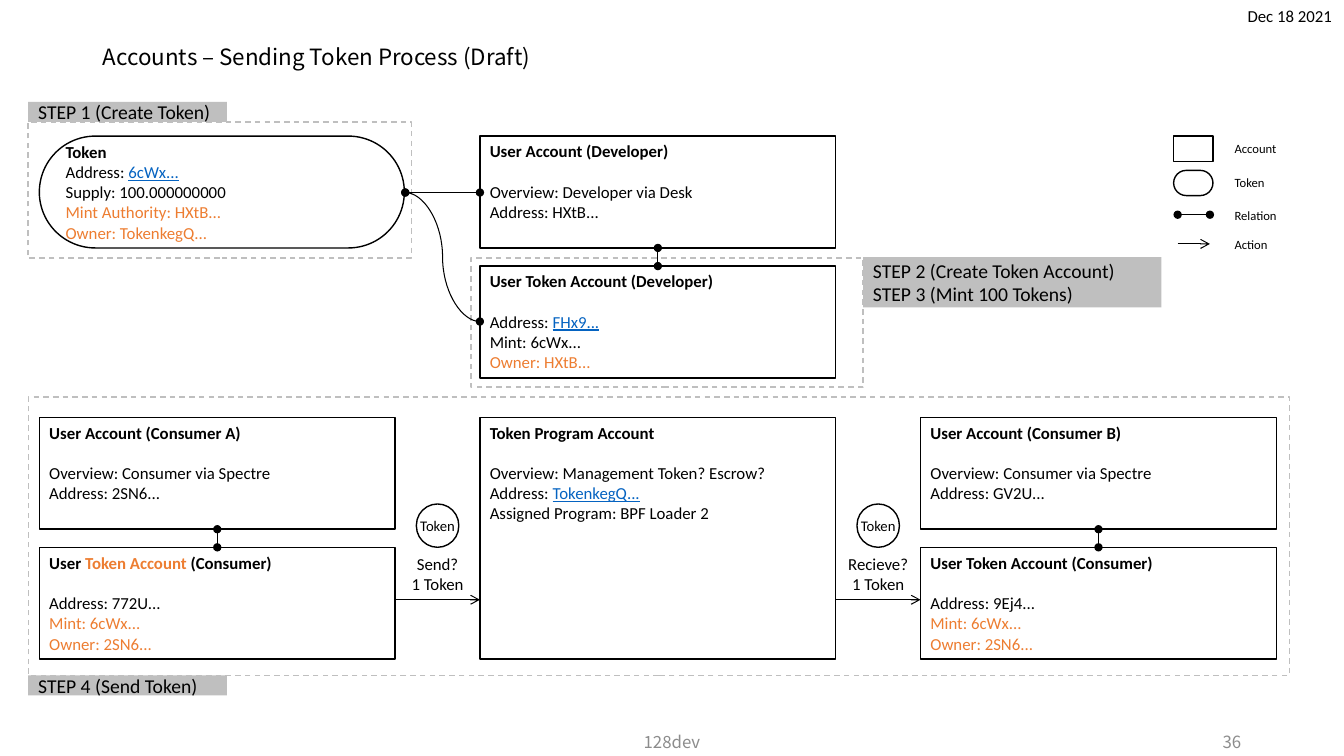
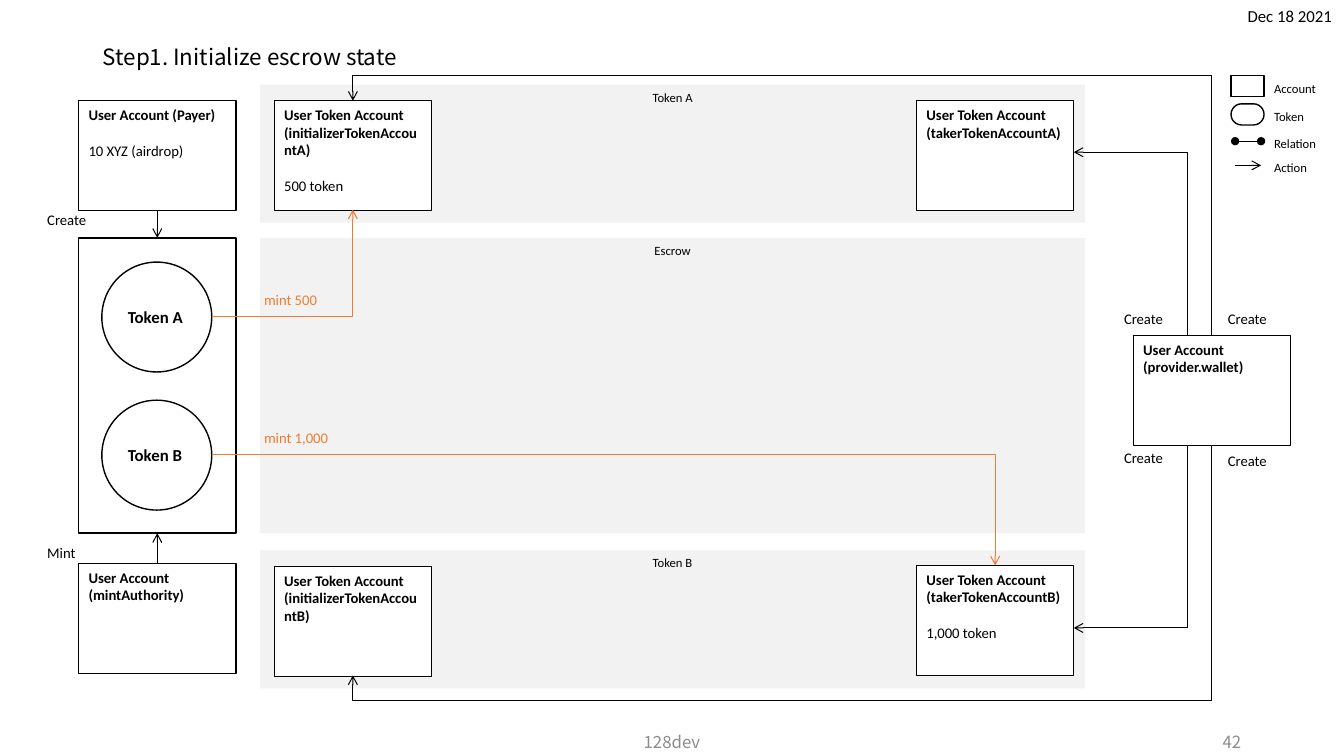
from lxml.etree import SubElement
from pptx import Presentation
from pptx.dml.color import RGBColor
from pptx.enum.dml import MSO_LINE
from pptx.enum.shapes import MSO_CONNECTOR, MSO_SHAPE
from pptx.enum.text import MSO_ANCHOR, MSO_AUTO_SIZE, PP_ALIGN
from pptx.oxml.ns import qn
from pptx.util import Inches, Pt

BLACK = RGBColor(0x00, 0x00, 0x00)
WHITE = RGBColor(0xFF, 0xFF, 0xFF)
GREY = RGBColor(0xBF, 0xBF, 0xBF)
PALE = RGBColor(0xF2, 0xF2, 0xF2)
DIM = RGBColor(0x8C, 0x8C, 0x8C)
ORANGE = RGBColor(0xED, 0x7D, 0x31)
BLUE = RGBColor(0x05, 0x63, 0xC1)

WIDE, HIGH = 13.33, 7.5
BODY = {"name": "Calibri", "size": Pt(12), "color": BLACK}
SMALL = BODY | {"size": Pt(10.5)}
TINY = BODY | {"size": Pt(9)}
STEP = BODY | {"size": Pt(14)}
TITLE = {"name": "Noto Sans CJK JP", "size": Pt(16), "color": BLACK}
FOOT = TITLE | {"size": Pt(12), "color": DIM}
BOLD = {"bold": True}
MARK = {"color": ORANGE}
LINK = {"color": BLUE, "underline": True}

LEFT, MID, TOP = PP_ALIGN.LEFT, MSO_ANCHOR.MIDDLE, MSO_ANCHOR.TOP
RECT, PILL = MSO_SHAPE.RECTANGLE, MSO_SHAPE.ROUNDED_RECTANGLE
DOTS = {"headEnd": "oval", "tailEnd": "oval"}
ARROW = {"tailEnd": "arrow"}
BACK = {"headEnd": "arrow"}

CARD_W, CARD_H = 3.53, 1.11
COLS = [0.39 + 4.37 * i for i in range(3)]
ROWS = (1.35, 2.64, 4.14, 5.43)
ACC_W, ACC_H = 1.56, 1.09
BAND_X, BAND_W = 2.58, 8.18


def style(font, form):
    """Set every font attribute named in a dict."""
    for key, val in form.items():
        if key == "color":
            font.color.rgb = val
        else:
            setattr(font, key, val)


def write(shape, lines, base=BODY, align=LEFT, anchor=TOP, wrap=True, gap=False):
    """Fill a shape with lines, each a string or a list of (text, format) runs."""
    frame = shape.text_frame
    opts = {"word_wrap": wrap, "vertical_anchor": anchor, "auto_size": MSO_AUTO_SIZE.NONE}
    for key, val in opts.items():
        setattr(frame, key, val)
    for i, line in enumerate(lines):
        para = frame.add_paragraph() if i else frame.paragraphs[0]
        para.alignment = align
        if gap and i == 0 and len(lines) > 1:
            para.space_after = Pt(round(base["size"].pt * 1.22, 1))
        for text, form in [(line, {})] if isinstance(line, str) else line:
            run = para.add_run()
            run.text = text
            style(run.font, base | form)


def box(slide, area, lines=(), kind=RECT, fill=None, edge=BLACK, dash=False, **form):
    """Add a shape with optional fill, border and text."""
    shape = slide.shapes.add_shape(kind, *map(Inches, area))
    shape.shadow.inherit = False
    if kind == PILL:
        shape.adjustments[0] = 0.5
    if fill is None:
        shape.fill.background()
    else:
        shape.fill.solid()
        shape.fill.fore_color.rgb = fill
    if edge is None:
        shape.line.fill.background()
    else:
        shape.line.color.rgb = edge
        shape.line.width = Pt(1)
        if dash:
            shape.line.dash_style = MSO_LINE.DASH
    if lines:
        write(shape, lines, **form)
    return shape


def note(slide, area, lines, **form):
    """Add a free text label."""
    write(slide.shapes.add_textbox(*map(Inches, area)), lines, **{"wrap": False} | form)


def link(slide, start, end, ends, color=BLACK, kind=MSO_CONNECTOR.STRAIGHT):
    """Add a connector with the given line ends."""
    line = slide.shapes.add_connector(kind, *map(Inches, (*start, *end)))
    line.line.color.rgb = color
    line.line.width = Pt(0.75)
    pen = line.line._get_or_add_ln()
    for tag in ("headEnd", "tailEnd"):
        if tag in ends:
            SubElement(pen, qn(f"a:{tag}"), type=ends[tag])
    SubElement(line._element.spPr, qn("a:effectLst"))
    return line


def elbow(slide, start, end, ends, color=BLACK):
    """Add a connector that runs across, then up or down."""
    line = link(slide, start, end, ends, color, MSO_CONNECTOR.ELBOW)
    line._element.spPr.find(qn("a:prstGeom")).set("prst", "bentConnector2")


def loop(slide, start, end, out):
    """Add an arrow that leaves upright, passes the end by out, and returns."""
    (x1, y1), (x2, y2) = start, end
    long, tall = abs(y2 - y1), abs(x2 - x1)
    left, top = (x1 + x2 - long) / 2, (y1 + y2 - tall) / 2
    span = [top, top + tall]
    if y2 < y1:
        span.reverse()
    line = link(slide, (left, span[0]), (left + long, span[1]), ARROW, kind=MSO_CONNECTOR.ELBOW)
    props = line._element.spPr
    props.find(qn("a:xfrm")).set("rot", str((270 if y2 < y1 else 90) * 60000))
    bend = round((1 + out / long) * 100000)
    SubElement(props.find(qn("a:prstGeom")).find(qn("a:avLst")), qn("a:gd"),
               name="adj1", fmla=f"val {bend}")


def legend(slide, left, top, unit, drops):
    """Add the key of symbols, scaled by its unit."""
    wide, high = 0.39 * unit, 0.25 * unit
    for kind, drop in zip((RECT, PILL), drops):
        box(slide, (left, top + drop, wide, high), kind=kind)
    for ends, drop in zip((DOTS, ARROW), drops[2:]):
        y = top + drop + 0.12 * unit
        link(slide, (left + 0.04, y), (left + wide - 0.03, y), ends)
    for name, drop in zip(("Account", "Token", "Relation", "Action"), drops):
        note(slide, (left + 1.3 * wide if unit == 1 else left + wide, top + drop, 0.64 * unit, high),
             [name], base=TINY)


def page(deck, title, num):
    """Add a slide with title, date, footer and number."""
    slide = deck.slides.add_slide(deck.slide_layouts[5])
    head = slide.shapes.title
    for key, val in zip(("left", "top", "width", "height"), (0.92, 0.4, 11.5, 0.35)):
        setattr(head, key, Inches(val))
    write(head, [title], base=TITLE, anchor=MID)
    head.text_frame.paragraphs[0].line_spacing = 0.9
    note(slide, (WIDE - 2.02, 0.01, 2, 0.35), ["Dec 18 2021"], align=PP_ALIGN.RIGHT, wrap=True)
    for left, text, align in ((5.88, "128dev", PP_ALIGN.CENTER), (10.84, num, PP_ALIGN.RIGHT)):
        note(slide, (left, 7.26, 1.57, 0.19), [text], base=FOOT, align=align, anchor=MID, wrap=True)
    return slide


def card(slide, col, row, head, *lines, high=CARD_H):
    """Add an account card at a column and row."""
    head = [(head, BOLD)] if isinstance(head, str) else head
    box(slide, (COLS[col], ROWS[row], CARD_W, high), [head, *lines], gap=True)


def send(deck):
    """Build the token sending slide."""
    slide = page(deck, "Accounts – Sending Token Process (Draft)", "36")
    box(slide, (COLS[0], ROWS[0], 3.62, CARD_H), [
        [("Token", BOLD)],
        [("Address: ", {}), ("6cWx...", LINK)],
        "Supply: 100.000000000",
        [("Mint Authority: HXtB...", MARK)],
        [("Owner: TokenkegQ...", MARK)]], kind=PILL, anchor=MID)
    mint, owner = [("Mint: 6cWx...", MARK)], [("Owner: 2SN6...", MARK)]
    card(slide, 0, 2, "User Account (Consumer A)",
         "Overview: Consumer via Spectre", "Address: 2SN6...")
    card(slide, 0, 3, [("User ", BOLD), ("Token Account ", BOLD | MARK), ("(Consumer)", BOLD)],
         "Address: 772U...", mint, owner)
    card(slide, 1, 0, "User Account (Developer)",
         "Overview: Developer via Desk", "Address: HXtB...")
    card(slide, 1, 1, "User Token Account (Developer)",
         [("Address: ", {}), ("FHx9...", LINK)], "Mint: 6cWx...", [("Owner: HXtB...", MARK)])
    card(slide, 2, 2, "User Account (Consumer B)",
         "Overview: Consumer via Spectre", "Address: GV2U...")
    card(slide, 2, 3, "User Token Account (Consumer)", "Address: 9Ej4...", mint, owner)
    card(slide, 1, 2, "Token Program Account", "Overview: Management Token? Escrow?",
         [("Address: ", {}), ("TokenkegQ...", LINK)], "Assigned Program: BPF Loader 2",
         high=ROWS[3] + CARD_H - ROWS[2])
    for col, row in ((0, 2), (1, 0), (2, 2)):
        x = COLS[col] + CARD_W / 2
        link(slide, (x, ROWS[row] + CARD_H), (x, ROWS[row + 1]), DOTS)
    for col, verb in enumerate(("Send?", "Recieve?")):
        x, end = COLS[col] + CARD_W, COLS[col + 1]
        mid = (x + end) / 2
        link(slide, (x, 5.95), (end, 5.95), ARROW)
        note(slide, (mid - 0.69, 5.44, 1.38, 0.3), [verb, "1 Token"], align=PP_ALIGN.CENTER)
        box(slide, (mid - 0.21, 5, 0.42, 0.43), ["Token"], kind=PILL, base=SMALL,
            align=PP_ALIGN.CENTER, anchor=MID, wrap=False)
    for area in ((0.28, 1.21, 3.8, 1.35), (4.67, 2.56, 3.89, 1.28), (0.28, 3.94, 12.51, 2.76)):
        box(slide, area, edge=GREY, dash=True)
    for area, lines in (
            ((0.28, 1.01, 1.97, 0.2), ["STEP 1 (Create Token)"]),
            ((8.56, 2.55, 2.96, 0.5), ["STEP 2 (Create Token Account)", "STEP 3 (Mint 100 Tokens)"]),
            ((0.28, 6.7, 1.97, 0.2), ["STEP 4 (Send Token)"])):
        box(slide, area, lines, fill=GREY, edge=None, base=STEP, anchor=MID, wrap=False)
    legend(slide, 11.64, ROWS[0], 1, (0, 0.34, 0.66, 0.95))
    hub = (4.02, 1.91)
    link(slide, hub, (COLS[1], 1.91), DOTS)
    link(slide, hub, (COLS[1], 3.19), DOTS, kind=MSO_CONNECTOR.CURVE)


def start(deck):
    """Build the escrow start slide."""
    slide = page(deck, "Step1. Initialize escrow state", "42")
    for top, high, name in ((0.84, 1.37, "Token A"), (5.46, 1.37, "Token B"), (2.36, 2.93, "Escrow")):
        box(slide, (BAND_X, top, BAND_W, high), [name], fill=PALE, edge=None,
            base=TINY, align=PP_ALIGN.CENTER)
    for left, top, head, *lines in (
            (0.78, 1, "User Account (Payer)", "10 XYZ (airdrop)"),
            (0.78, 5.59, "User Account (mintAuthority)"),
            (11.24, 3.33, "User Account (provider.wallet)"),
            (2.72, 1, "User Token Account (initializerTokenAccountA)", "500 token"),
            (2.72, 5.62, "User Token Account (initializerTokenAccountB)"),
            (9.09, 1, "User Token Account (takerTokenAccountA)"),
            (9.09, 5.61, "User Token Account (takerTokenAccountB)", "1,000 token")):
        box(slide, (left, top, ACC_W, ACC_H), [[(head, BOLD)], *lines], fill=WHITE,
            base=SMALL, gap=True)
    box(slide, (0.78, 2.36, ACC_W, 2.93))
    for top, name in ((2.6, "Token A"), (3.97, "Token B")):
        box(slide, (1.01, top, ACC_H, ACC_H), [[(name, BOLD)]], kind=PILL, anchor=MID)
    link(slide, (1.56, 2.09), (1.56, 2.36), ARROW)
    link(slide, (1.56, 5.59), (1.56, 5.29), ARROW)
    loop(slide, (12.02, 3.33), (3.5, 1), 0.25)
    loop(slide, (12.02, 4.42), (3.5, 6.7), 0.25)
    elbow(slide, (10.65, 1.51), (11.78, 3.32), BACK)
    elbow(slide, (10.65, 6.23), (11.78, 4.42), BACK)
    elbow(slide, (2.1, 3.14), (3.5, 2.08), ARROW, ORANGE)
    elbow(slide, (2.1, 4.51), (9.87, 5.61), ARROW, ORANGE)
    for left, top, text, form in (
            (0.37, 2.04, "Create", {}), (0.37, 5.35, "Mint", {}),
            (12.08, 4.43, "Create", {}), (12.08, 3.02, "Create", {}),
            (11.05, 4.4, "Create", {}), (11.05, 3.02, "Create", {}),
            (2.52, 2.84, "mint 500", MARK), (2.52, 4.21, "mint 1,000", MARK)):
        note(slide, (left, top, 1.11, 0.3), [text], base=SMALL | form)
    legend(slide, 12.21, 0.75, 0.84, (0, 0.28, 0.55, 0.79))


def main():
    """Build and save the deck."""
    deck = Presentation()
    deck.slide_width, deck.slide_height = Inches(WIDE), Inches(HIGH)
    send(deck)
    start(deck)
    deck.save("out.pptx")


if __name__ == "__main__":
    main()
